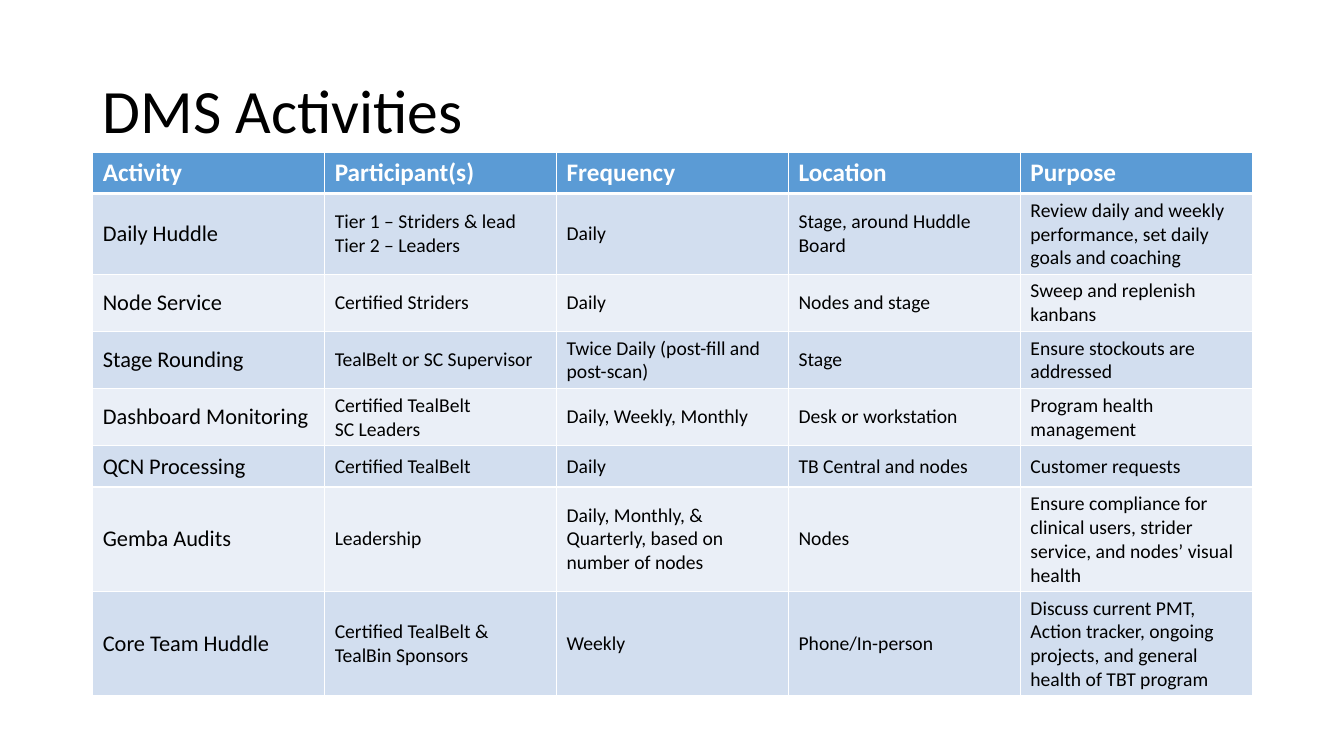
from lxml import etree
from pptx import Presentation
from pptx.dml.color import RGBColor
from pptx.enum.text import MSO_ANCHOR
from pptx.oxml.ns import qn
from pptx.util import Inches, Pt

MIDDLE = MSO_ANCHOR.MIDDLE
TOP = MSO_ANCHOR.TOP
FONT = "Calibri"
COLORS = {
    "text": "000000",
    "white": "FFFFFF",
    "header": "5B9BD5",
    "odd_row": "D2DEEF",
    "even_row": "EAEFF7",
}
LEFT, WIDTH = 0.92, 11.5
TABLE_TOP, TABLE_HEIGHT, ROW_HEIGHT = 1.51, 5.38, 0.41
ACTIVITIES = [
    ["Activity", "Participant(s)", "Frequency", "Location", "Purpose"],
    ["Daily Huddle", "Tier 1 – Striders & lead\nTier 2 – Leaders", "Daily",
     "Stage, around Huddle Board",
     "Review daily and weekly performance, set daily goals and coaching"],
    ["Node Service", "Certified Striders", "Daily", "Nodes and stage",
     "Sweep and replenish kanbans"],
    ["Stage Rounding", "TealBelt or SC Supervisor",
     "Twice Daily (post-fill and post-scan)", "Stage",
     "Ensure stockouts are addressed"],
    ["Dashboard Monitoring", "Certified TealBelt\nSC Leaders",
     "Daily, Weekly, Monthly", "Desk or workstation",
     "Program health management"],
    ["QCN Processing", "Certified TealBelt", "Daily", "TB Central and nodes",
     "Customer requests"],
    ["Gemba Audits", "Leadership",
     "Daily, Monthly, & Quarterly, based on number of nodes", "Nodes",
     "Ensure compliance for clinical users, strider service, and nodes’ visual health"],
    ["Core Team Huddle", "Certified TealBelt & TealBin Sponsors", "Weekly",
     "Phone/In-person",
     "Discuss current PMT, Action tracker, ongoing projects, and general health of TBT program"],
]


def color(name):
    return RGBColor.from_string(COLORS[name])


def write_text(frame, text, size, color_name, bold=False):
    frame.text = text
    for para in frame.paragraphs:
        for span in para.runs:
            span.font.name = FONT
            span.font.size = Pt(size)
            span.font.bold = bold
            span.font.color.rgb = color(color_name)


def add_title(page, text):
    box = page.shapes.add_textbox(
        Inches(LEFT), Inches(0.4), Inches(WIDTH), Inches(1.45))
    frame = box.text_frame
    frame.word_wrap = True
    frame.vertical_anchor = MIDDLE
    write_text(frame, text, 44, "text")
    frame.paragraphs[0].line_spacing = 0.9


def set_borders(cell, widths):
    properties = cell._tc.get_or_add_tcPr()
    for position, (side, width) in enumerate(widths.items()):
        line = etree.Element(qn(f"a:{side}"), w=str(Pt(width)))
        fill = etree.SubElement(line, qn("a:solidFill"))
        etree.SubElement(fill, qn("a:srgbClr"), val=COLORS["white"])
        properties.insert(position, line)


def style_cell(cell, text, row, column):
    is_header = row == 0
    if is_header:
        fill_name, size, text_color = "header", 18, "white"
    else:
        fill_name = "odd_row" if row % 2 else "even_row"
        size = 16 if column == 0 else 14
        text_color = "text"
    cell.fill.solid()
    cell.fill.fore_color.rgb = color(fill_name)
    cell.vertical_anchor = TOP if is_header else MIDDLE
    write_text(cell.text_frame, text, size, text_color, is_header)
    set_borders(cell, {
        "lnL": 1,
        "lnR": 1,
        "lnT": 3 if row == 1 else 1,
        "lnB": 3 if is_header else 1,
    })


def add_activity_table(page, rows):
    frame = page.shapes.add_table(
        len(rows), len(rows[0]), Inches(LEFT), Inches(TABLE_TOP),
        Inches(WIDTH), Inches(TABLE_HEIGHT))
    table = frame.table
    for row, texts in enumerate(rows):
        table.rows[row].height = Inches(ROW_HEIGHT)
        for column, text in enumerate(texts):
            style_cell(table.cell(row, column), text, row, column)
    frame.height = Inches(TABLE_HEIGHT)


def main():
    deck = Presentation()
    deck.slide_width = Inches(13.33)
    deck.slide_height = Inches(7.5)
    page = deck.slides.add_slide(deck.slide_layouts[6])
    add_title(page, "DMS Activities")
    add_activity_table(page, ACTIVITIES)
    deck.save("out.pptx")


if __name__ == "__main__":
    main()
